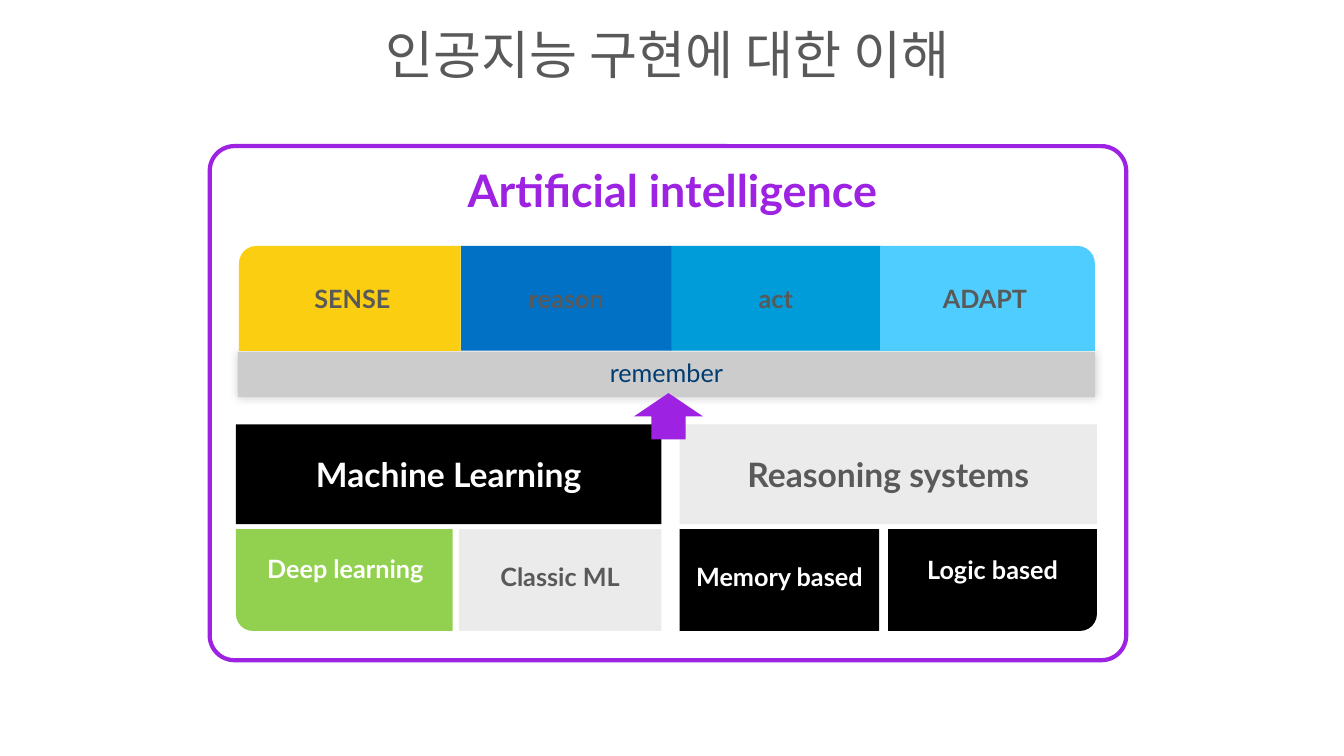
"""Build a slide on how artificial intelligence is put together."""
from dataclasses import dataclass

from lxml import etree
from pptx import Presentation
from pptx import util as u
from pptx.dml.color import RGBColor
from pptx.enum import shapes, text
from pptx.oxml import ns

GREY, PALE, BLACK, WHITE, PURPLE = "595959", "EBEBEB", "000000", "FFFFFF", "9D22E2"
KIND = shapes.MSO_SHAPE
RECT, ROUND = KIND.RECTANGLE, KIND.ROUND_1_RECTANGLE
TOP, MID = text.MSO_ANCHOR.TOP, text.MSO_ANCHOR.MIDDLE
INSET = (0.1, 0.05, 0.1, 0.05)
SENSE_Y, SENSE_H = 2.44, 1.04
BRANCH_Y, BRANCH_H = 4.21, 0.99
LEAF_Y, LEAF_H = 5.25, 1.01


@dataclass
class Label:
    words: str
    size: float = 18
    hue: str = WHITE
    bold: bool = True
    face: str = "Lato"
    space: float = 1
    anchor: text.MSO_ANCHOR = MID
    wrap: bool = True
    inset: tuple[float, float, float, float] = INSET


@dataclass
class Block:
    kind: KIND
    left: float
    top: float
    width: float
    height: float
    fill: str
    label: Label | None = None
    flip: str = ""


@dataclass
class Note:
    left: float
    top: float
    width: float
    height: float
    label: Label


def paint(part, hue: str) -> None:
    """Give a fill or a line's fill a solid colour."""
    part.solid()
    part.fore_color.rgb = RGBColor.from_string(hue)


def write(shape, label: Label) -> None:
    """Put a centred label in a shape."""
    frame = shape.text_frame
    frame.auto_size = text.MSO_AUTO_SIZE.NONE
    frame.word_wrap = label.wrap
    frame.vertical_anchor = label.anchor
    (frame.margin_left, frame.margin_top,
     frame.margin_right, frame.margin_bottom) = map(u.Inches, label.inset)
    para = frame.paragraphs[0]
    para.alignment = text.PP_ALIGN.CENTER
    para.line_spacing = label.space
    run = para.add_run()
    run.text = label.words
    run.font.name = label.face
    run.font.size = u.Pt(label.size)
    run.font.bold = label.bold
    paint(run.font.fill, label.hue)


def draw(group, block: Block):
    """Draw one filled block and return its shape."""
    place = map(u.Inches, (block.left, block.top, block.width, block.height))
    shape = group.shapes.add_shape(block.kind, *place)
    shape.shadow.inherit = False
    paint(shape.fill, block.fill)
    shape.line.fill.background()
    for axis in block.flip:
        shape.element.spPr.find(ns.qn("a:xfrm")).set(f"flip{axis}", "1")
    if block.label:
        write(shape, block.label)
    return shape


def jot(group, note: Note) -> None:
    """Draw one text box."""
    place = map(u.Inches, (note.left, note.top, note.width, note.height))
    write(group.shapes.add_textbox(*place), note.label)


def fade(parent, share: int) -> None:
    """Set how opaque a colour is, in percent."""
    etree.SubElement(parent, ns.qn("a:alpha")).set("val", str(share * 1000))


def shade(shape) -> None:
    """Give a shape a soft dark shadow."""
    effects = shape.element.spPr.find(ns.qn("a:effectLst"))
    glow = etree.SubElement(effects, ns.qn("a:outerShdw"))
    for name, value in (("blurRad", u.Pt(6)), ("dist", 0), ("dir", 225 * 60000)):
        glow.set(name, str(int(value)))
    tint = etree.SubElement(glow, ns.qn("a:srgbClr"))
    tint.set("val", BLACK)
    fade(tint, 20)


def sense(kind: KIND, left: float, width: float, fill: str, words: str,
          flip: str = "") -> Block:
    """Describe a block of the top row."""
    label = Label(words, hue=GREY, wrap=False)
    return Block(kind, left, SENSE_Y, width, SENSE_H, fill, label, flip)


def branch(left: float, width: float, fill: str, words: str, hue: str) -> Block:
    """Describe a block of the middle row."""
    return Block(RECT, left, BRANCH_Y, width, BRANCH_H, fill, Label(words, 24, hue))


def leaf(kind: KIND, left: float, width: float, fill: str,
         label: Label | None = None, flip: str = "") -> Block:
    """Describe a block of the bottom row."""
    return Block(kind, left, LEAF_Y, width, LEAF_H, fill, label, flip)


PANEL = Block(KIND.ROUNDED_RECTANGLE, 2.08, 1.45, 9.09, 5.1, WHITE)
STORE = Block(RECT, 2.36, 3.49, 8.5, 0.45, "CCCCCC",
              Label("remember", hue="003C71", bold=False, inset=(0.1, 0, 0.1, 0.05)))
BLOCKS = [
    sense(RECT, 6.65, 2.09, "009CDA", "act"),
    sense(ROUND, 8.73, 2.13, "50CDFF", "ADAPT"),
    sense(RECT, 4.57, 2.09, "0071C5", "reason"),
    sense(ROUND, 2.37, 2.2, "FBCE11", "SENSE", "H"),
    branch(2.34, 4.22, BLACK, "Machine Learning", WHITE),
    branch(6.74, 4.14, PALE, "Reasoning systems", GREY),
    leaf(ROUND, 2.34, 2.15, "92D050", flip="HV"),
    leaf(RECT, 4.55, 2.01, PALE, Label("Classic ML", hue=GREY, space=0.7)),
    leaf(RECT, 6.74, 1.98, BLACK,
         Label("Memory based", space=0.7, inset=(0, 0.05, 0, 0.05))),
    leaf(ROUND, 8.81, 2.07, BLACK, flip="V"),
    Block(KIND.UP_ARROW, 6.29, 3.9, 0.68, 0.46, PURPLE),
]
NOTES = [
    Note(2.28, 1.61, 8.78, 0.54,
         Label("Artificial intelligence", 32, PURPLE, inset=(0, 0, 0, 0))),
    Note(2.49, 5.52, 1.87, 0.32,
         Label("Deep learning", space=0.7, anchor=TOP, wrap=False)),
    Note(8.81, 5.53, 2.07, 0.32, Label("Logic based", space=0.7, anchor=TOP)),
]
TITLE = Label("인공지능 구현에 대한 이해", 37.3, GREY, False, "Calibri",
              anchor=TOP, inset=(0, 0, 0, 0))


def main() -> None:
    """Build and save the slide."""
    deck = Presentation()
    deck.slide_width, deck.slide_height = u.Inches(13.33), u.Inches(7.5)
    slide = deck.slides.add_slide(deck.slide_layouts[5])
    title = slide.shapes.title
    title.left, title.top = u.Inches(0.69), u.Inches(0.22)
    title.width, title.height = u.Inches(11.86), u.Inches(0.6)
    write(title, TITLE)

    group = slide.shapes.add_group_shape()
    panel = draw(group, PANEL)
    panel.adjustments[0] = 0.048
    paint(panel.line.fill, PURPLE)
    panel.line.width = u.Pt(3)
    fade(panel.element.spPr.find(ns.qn("a:solidFill"))[0], 20)
    shade(draw(group, STORE))
    for block in BLOCKS:
        draw(group, block)
    for note in NOTES:
        jot(group, note)
    deck.save("out.pptx")


if __name__ == "__main__":
    main()
